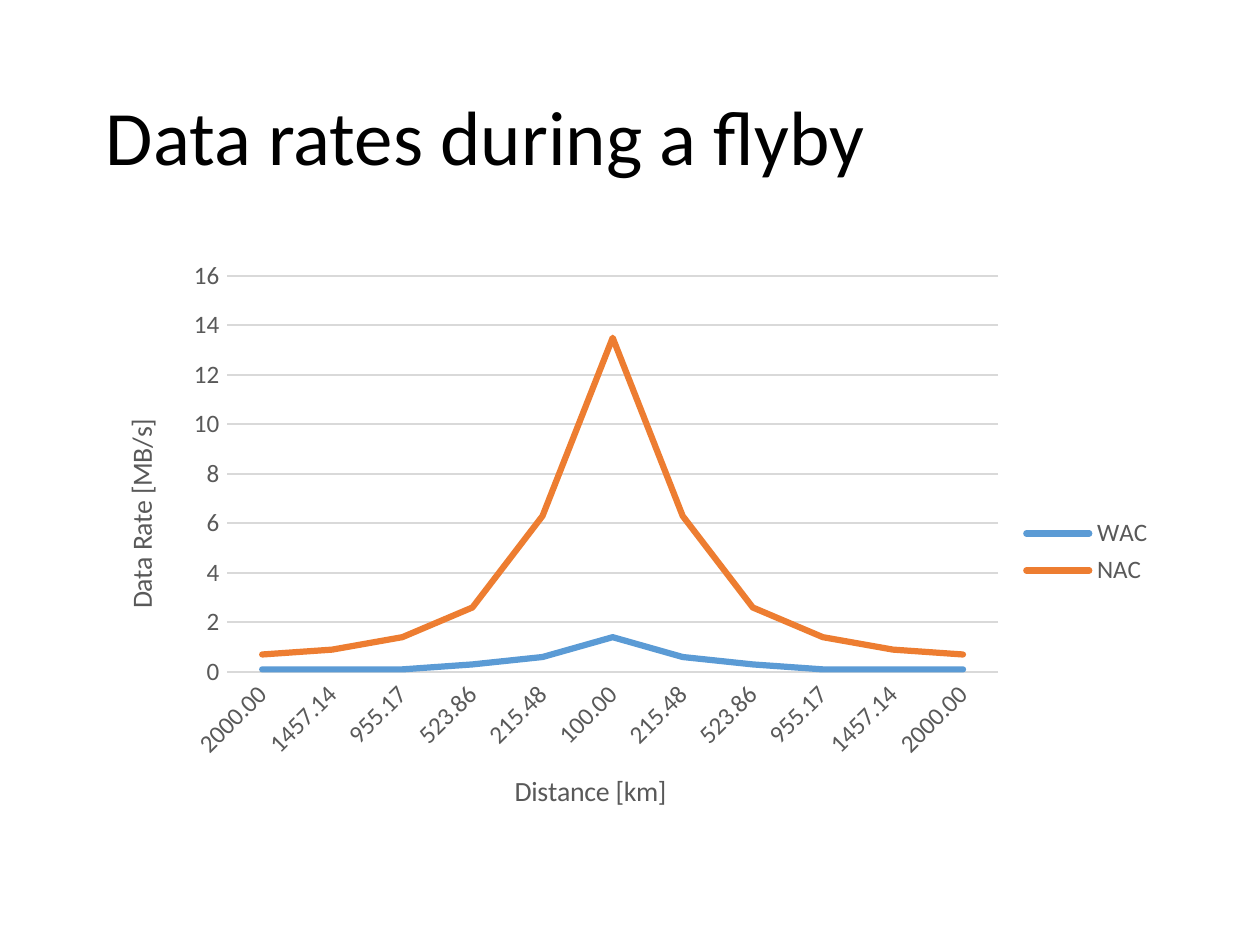
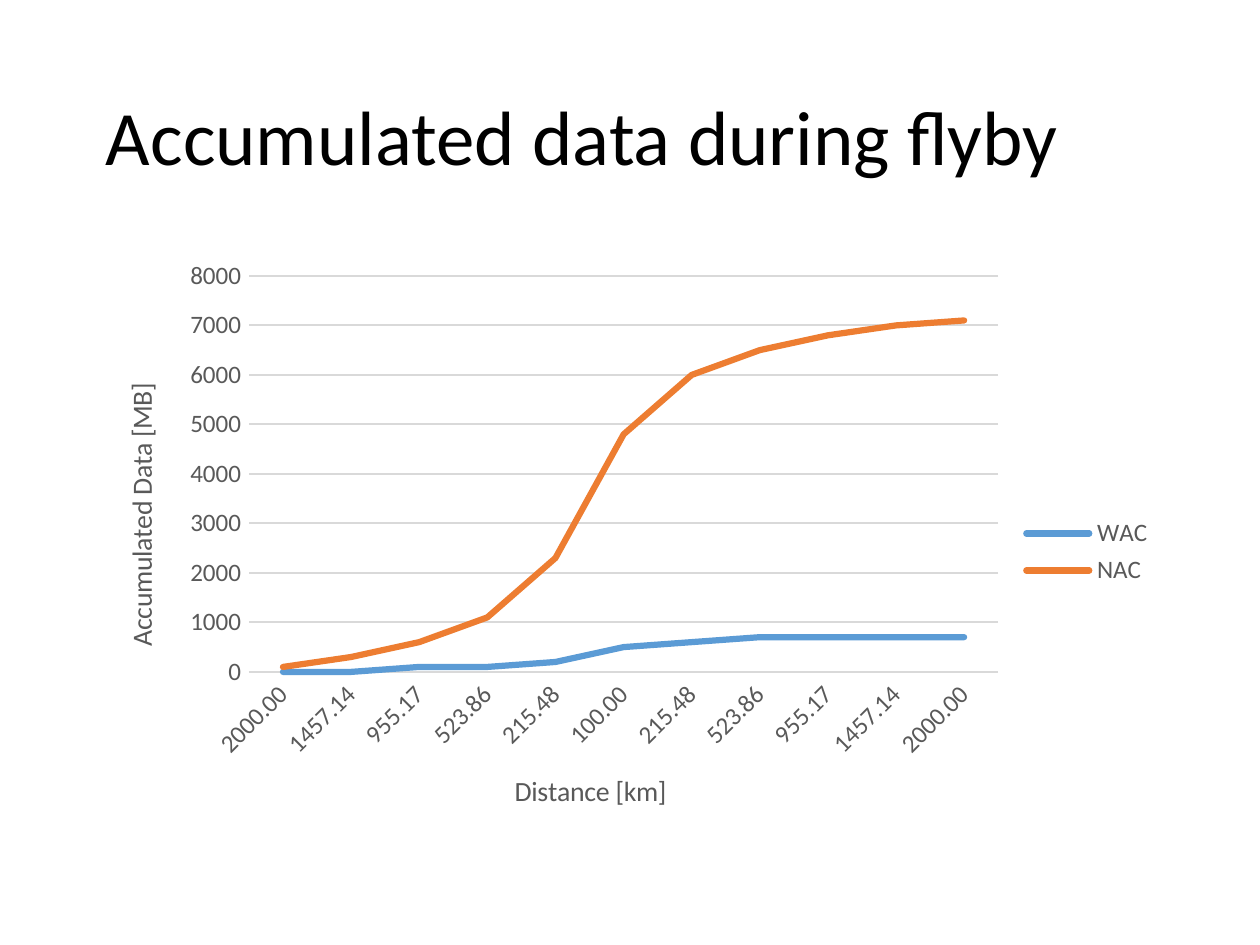
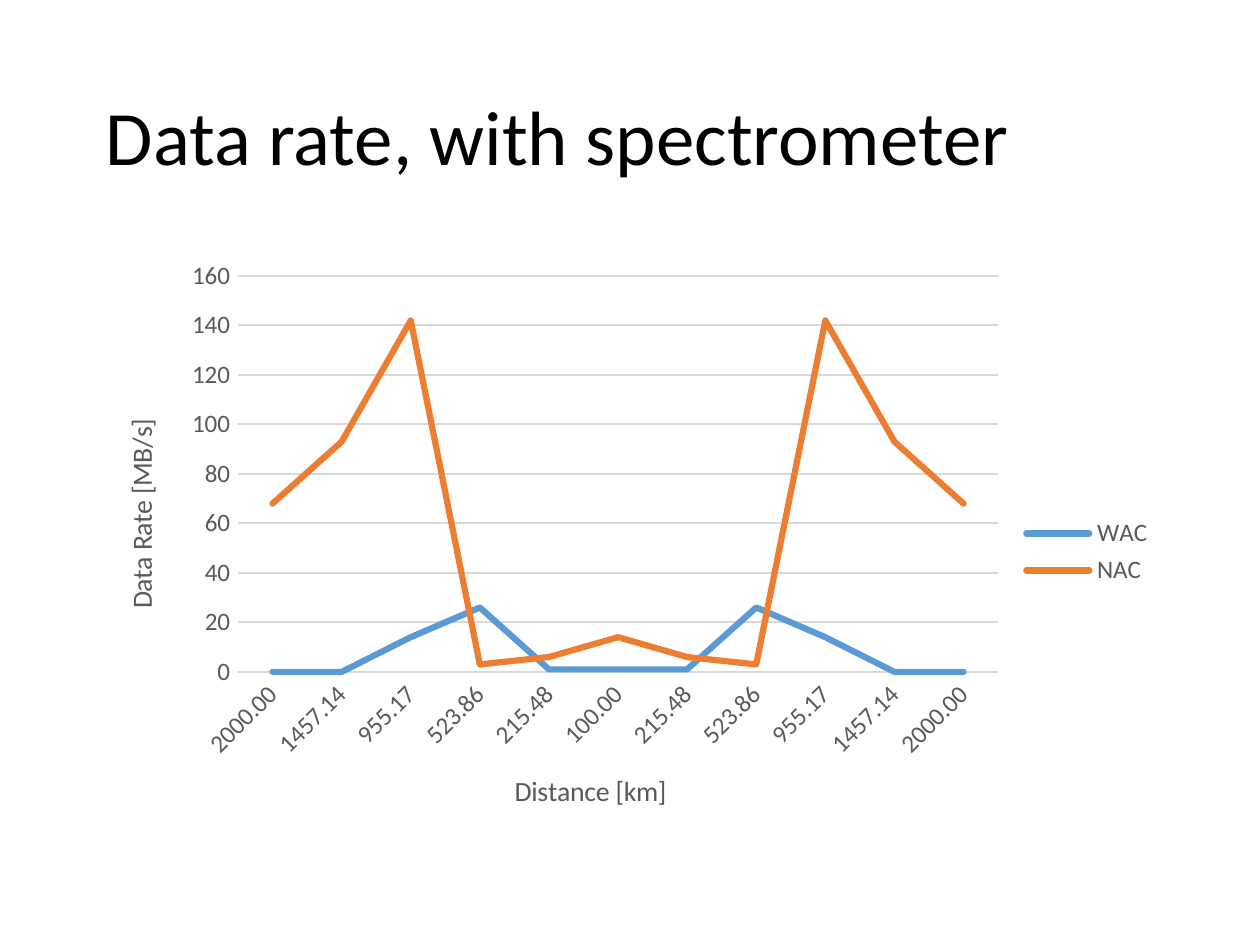
from lxml import etree
from pptx import Presentation
from pptx.chart.data import CategoryChartData
from pptx.dml.color import RGBColor
from pptx.enum import chart as ch, text
from pptx.oxml import ns
from pptx.util import Inches, Pt

BLACK = RGBColor(0x00, 0x00, 0x00)
GRAY = RGBColor(0x59, 0x59, 0x59)
PALE = RGBColor(0xD9, 0xD9, 0xD9)
BLUE = RGBColor(0x5B, 0x9B, 0xD5)
ORANGE = RGBColor(0xED, 0x7D, 0x31)
FACE = "Calibri"

# Page of 16 by 12 cm; boxes are left, top, width, height in inches
PAGE = (16 / 2.54, 12 / 2.54)
HEAD = (0.43, 0.25, 5.43, 0.91)
PLOT = (0.43, 1.26, 5.43, 3)


def mirror(*vals):
    """Values up to the closest approach, then the same way back."""
    return vals + vals[-2::-1]


DISTS = mirror(2000, 1457.14, 955.17, 523.86, 215.48, 100)


def style(font, size, color):
    font.name, font.size, font.color.rgb = FACE, Pt(size), color
    font.bold = False


def add_head(slide, words, box):
    title = slide.shapes.title
    title.left, title.top, title.width, title.height = map(Inches, box)
    frame = title.text_frame
    frame.text = words
    frame.auto_size = text.MSO_AUTO_SIZE.NONE
    frame.vertical_anchor = text.MSO_ANCHOR.MIDDLE
    para = frame.paragraphs[0]
    para.alignment = text.PP_ALIGN.LEFT
    para.line_spacing = 0.9
    style(para.font, 27.7, BLACK)


def set_layout(node, inner=False, **spots):
    """Place a chart part by fractions of the chart (x, y, w, h)."""
    for old in node.findall(ns.qn("c:layout")):
        node.remove(old)
    outer = etree.Element(ns.qn("c:layout"))
    manual = etree.SubElement(outer, ns.qn("c:manualLayout"))
    rows = {"layoutTarget": "inner"} if inner else {}
    rows.update(xMode="edge", yMode="edge", **spots)
    for tag, val in rows.items():
        etree.SubElement(manual, ns.qn("c:" + tag)).set("val", str(val))
    if inner:
        node.insert(0, outer)
    else:
        node.find(ns.qn("c:tx")).addnext(outer)


def set_axis(axis, name, x, y):
    axis.major_tick_mark = axis.minor_tick_mark = ch.XL_TICK_MARK.NONE
    style(axis.tick_labels.font, 9, GRAY)
    frame = axis.axis_title.text_frame
    frame.text = name
    style(frame.paragraphs[0].font, 10, GRAY)
    set_layout(axis.axis_title._element, x=x, y=y)


def add_lines(slide, box, unit, unit_y, left, top, step, wac, nac):
    data = CategoryChartData(number_format="General")
    data.categories = DISTS
    data.categories.number_format = "0.00"
    data.add_series("WAC", wac)
    data.add_series("NAC", nac)
    chart = slide.shapes.add_chart(
        ch.XL_CHART_TYPE.LINE, *map(Inches, box), data).chart
    style(chart.font, 10, BLACK)
    chart.has_title = False

    # Legend
    chart.has_legend = True
    chart.legend.position = ch.XL_LEGEND_POSITION.RIGHT
    chart.legend.include_in_layout = False
    style(chart.legend.font, 9, GRAY)

    # Distance axis with slanted labels
    dist = chart.category_axis
    set_axis(dist, "Distance [km]", 0.39, 0.86)
    dist.tick_labels.number_format = "0.00"
    dist.tick_labels.number_format_is_linked = True
    dist.format.line.color.rgb = PALE
    dist.format.line.width = Pt(0.75)
    dist._element.find(ns.qn("c:txPr")).find(ns.qn("a:bodyPr")).set(
        "rot", "-2700000")

    # Value axis with gridlines
    rate = chart.value_axis
    set_axis(rate, unit, 0.03, unit_y)
    rate.minimum_scale, rate.maximum_scale, rate.major_unit = 0, top, step
    rate.tick_labels.number_format = "0"
    rate.tick_labels.number_format_is_linked = False
    rate.format.line.fill.background()
    grid = rate.major_gridlines.format.line
    grid.color.rgb, grid.width = PALE, Pt(0.75)

    # Lines with round ends
    plot = chart.plots[0]
    plot.vary_by_categories = False
    for line, color in zip(plot.series, (BLUE, ORANGE)):
        line.smooth = False
        line.format.line.color.rgb = color
        line.format.line.width = Pt(2.25)
        line._element.find(".//" + ns.qn("a:ln")).set("cap", "rnd")

    area = chart._chartSpace.find(".//" + ns.qn("c:plotArea"))
    set_layout(area, inner=True, x=left, y=0.04, w=round(0.84 - left, 2),
               h=0.66)


# Title; value axis name, its y, plot left, axis top, step; WAC; NAC
SLIDES = [
    ("Data rates during a flyby",
     "Data Rate [MB/s]", 0.27, 0.13, 16, 2,
     mirror(0.1, 0.1, 0.1, 0.3, 0.6, 1.4),
     mirror(0.7, 0.9, 1.4, 2.6, 6.3, 13.5)),
    ("Accumulated data during flyby",
     "Accumulated Data [MB]", 0.21, 0.15, 8000, 1000,
     (0, 0, 100, 100, 200, 500, 600, 700, 700, 700, 700),
     (100, 300, 600, 1100, 2300, 4800, 6000, 6500, 6800, 7000, 7100)),
    ("Data rate, with spectrometer",
     "Data Rate [MB/s]", 0.27, 0.14, 160, 20,
     mirror(0, 0, 14, 26, 1, 1),
     mirror(68, 93, 142, 3, 6, 14)),
]

deck = Presentation()
deck.slide_width, deck.slide_height = map(Inches, PAGE)
for words, *parts in SLIDES:
    slide = deck.slides.add_slide(deck.slide_layouts[5])
    add_head(slide, words, HEAD)
    add_lines(slide, PLOT, *parts)
deck.save("out.pptx")
